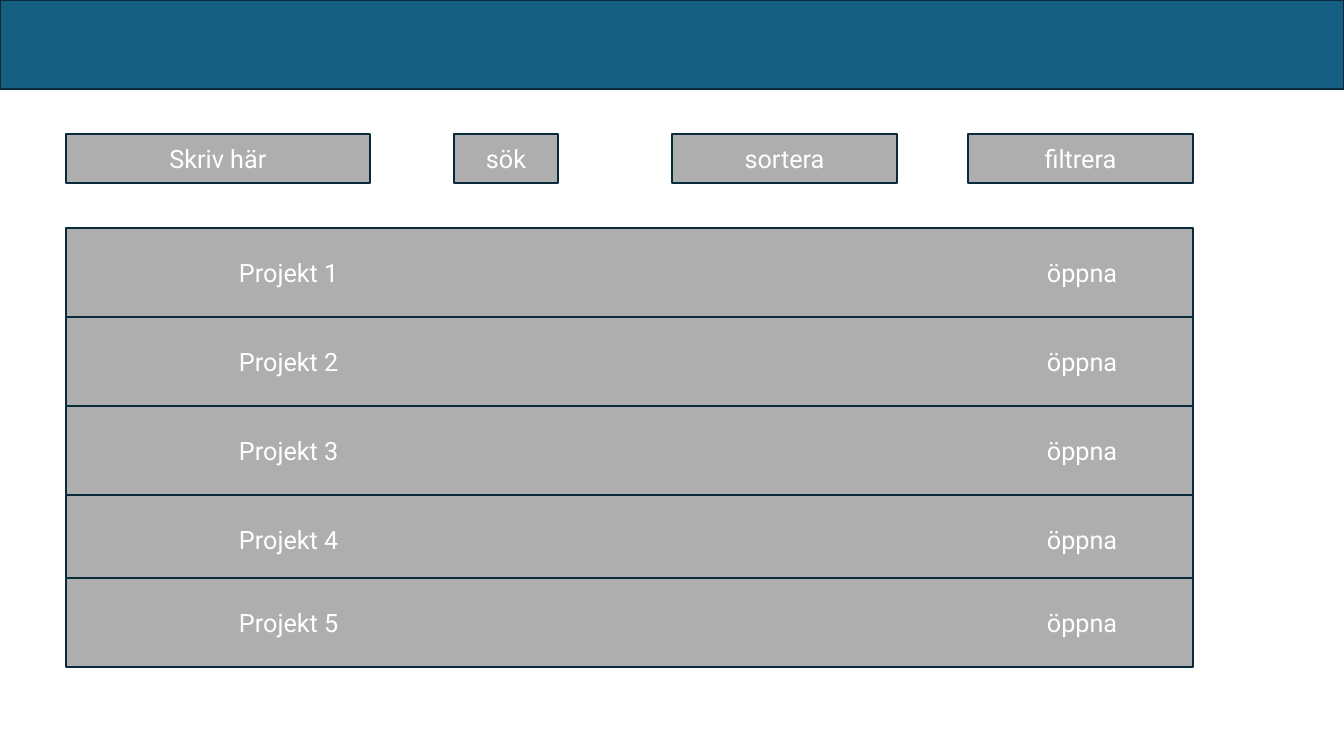
from lxml import etree
from pptx import Presentation
from pptx import util as u
from pptx.dml.color import RGBColor
from pptx.enum import shapes, text
from pptx.oxml.ns import qn

# Content, lengths in px
CONTROLS = [  # label, left, width
    ("Skriv här", 66, 304),
    ("sök", 454, 104),
    ("sortera", 672, 225),
    ("filtrera", 968, 225),
]
PROJECTS = ["Projekt 1", "Projekt 2", "Projekt 3", "Projekt 4", "Projekt 5"]
ACTION = "öppna"

COLORS = {"header": "156082", "panel": "AEAEAE", "border": "092A39", "text": "FFFFFF"}
FONT = {"name": "Roboto", "size": u.Pt(18)}

# Layout, in px
SLIDE_WIDTH, SLIDE_HEIGHT = 1344, 756
HEADER_HEIGHT = 89
CONTROL_TOP, CONTROL_HEIGHT = 134, 49
LIST_LEFT, LIST_TOP, LIST_WIDTH = 66, 228, 1127
ROW_HEIGHT = 89
LAST_ROW_OVERLAP = 6
NAME_INSET, ACTION_TAB = 173, 808


def px(length):
    return u.Emu(round(length * 914400 / 100.8))


def color(name):
    return RGBColor.from_string(COLORS[name])


def add_box(slide, left, top, width, height, fill, label=""):
    box = slide.shapes.add_shape(
        shapes.MSO_SHAPE.RECTANGLE, px(left), px(top), px(width), px(height))
    box.shadow.inherit = False
    box.fill.solid()
    box.fill.fore_color.rgb = color(fill)
    box.line.color.rgb = color("border")
    box.line.width = u.Pt(1.5)
    if label:
        frame = box.text_frame
        frame.vertical_anchor = text.MSO_ANCHOR.MIDDLE
        para = frame.paragraphs[0]
        para.alignment = text.PP_ALIGN.CENTER
        span = para.add_run()
        span.text = label
        for name, value in FONT.items():
            setattr(span.font, name, value)
        span.font.color.rgb = color("text")
    return box


def set_columns(box):
    """Left-align the name and place the action at a tab stop."""
    frame = box.text_frame
    frame.margin_left = px(NAME_INSET)
    para = frame.paragraphs[0]
    para.alignment = text.PP_ALIGN.LEFT
    stops = etree.SubElement(para._p.get_or_add_pPr(), qn("a:tabLst"))
    etree.SubElement(stops, qn("a:tab"), pos=str(px(ACTION_TAB)), algn="l")


def main():
    deck = Presentation()
    deck.slide_width, deck.slide_height = px(SLIDE_WIDTH), px(SLIDE_HEIGHT)
    page = deck.slides.add_slide(deck.slide_layouts[6])

    # Header band
    add_box(page, 0, 0, SLIDE_WIDTH, HEADER_HEIGHT, "header")

    # Search, sort and filter controls
    for label, left, width in CONTROLS:
        add_box(page, left, CONTROL_TOP, width, CONTROL_HEIGHT, "panel", label)

    # Project list; the last row overlaps the one above
    for index, project in enumerate(PROJECTS):
        top = LIST_TOP + index * ROW_HEIGHT
        if project == PROJECTS[-1]:
            top -= LAST_ROW_OVERLAP
        row = add_box(page, LIST_LEFT, top, LIST_WIDTH, ROW_HEIGHT, "panel",
                      f"{project}\t{ACTION}")
        set_columns(row)

    deck.save("out.pptx")


if __name__ == "__main__":
    main()
